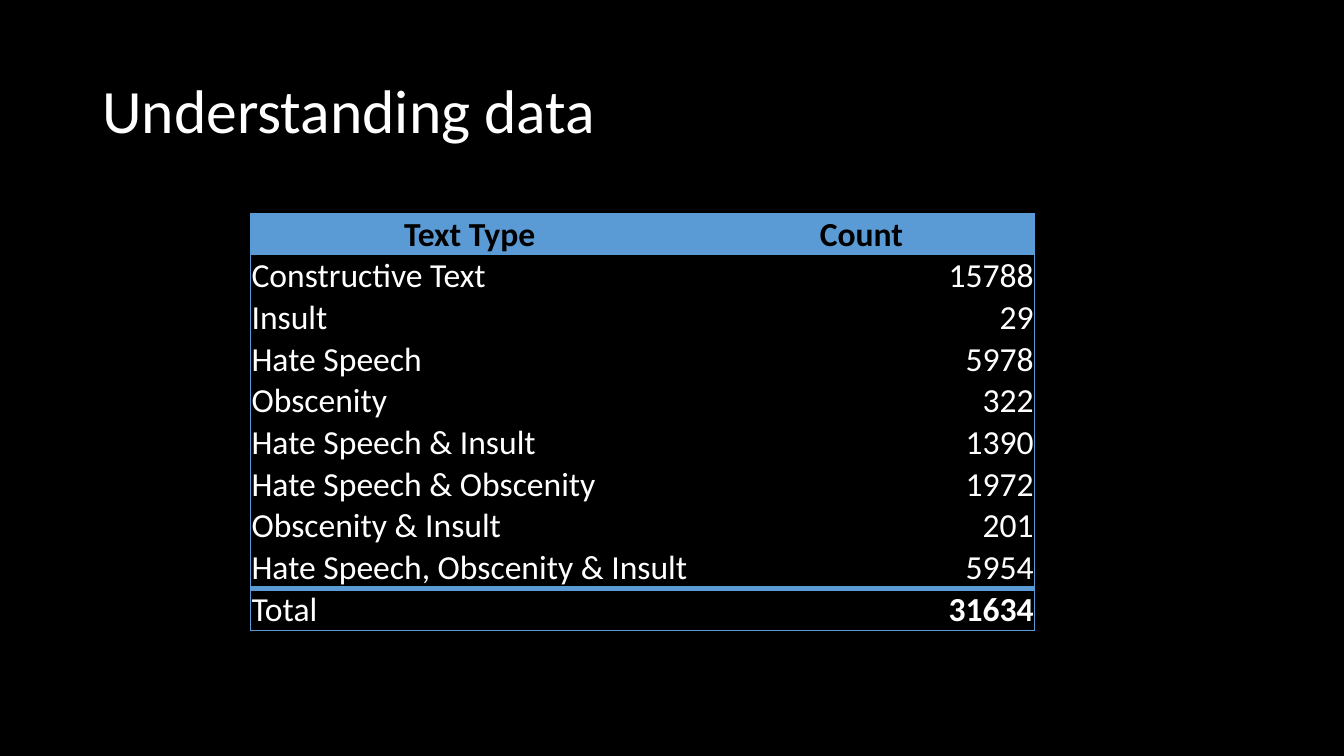
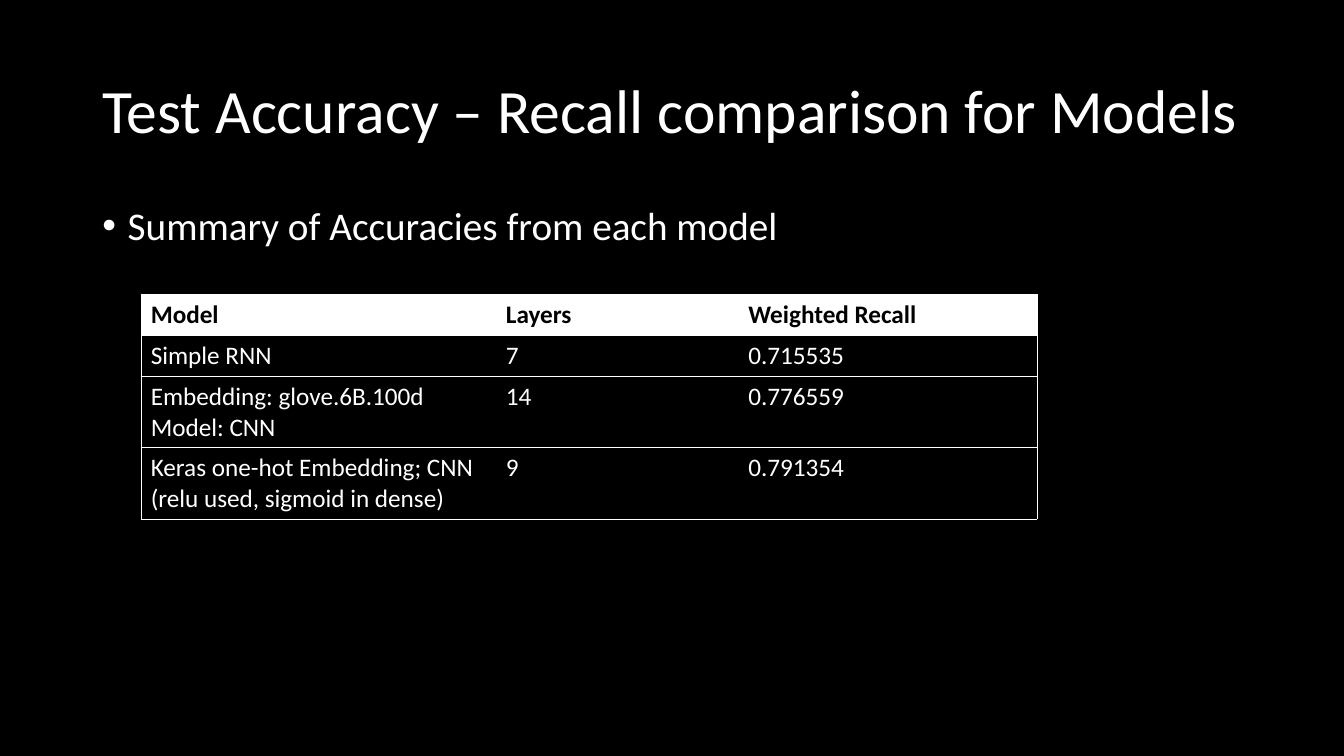
import pptx
import pptx.dml.color
import pptx.enum.text
import pptx.oxml
import pptx.oxml.ns
import pptx.util
from dataclasses import dataclass

Cm = pptx.util.Cm
Pt = pptx.util.Pt
RGBColor = pptx.dml.color.RGBColor
Align = pptx.enum.text.PP_ALIGN
Anchor = pptx.enum.text.MSO_ANCHOR

BLACK = RGBColor(0x00, 0x00, 0x00)
WHITE = RGBColor(0xFF, 0xFF, 0xFF)
BLUE = RGBColor(0x5B, 0x9B, 0xD5)
FONT = "Calibri"
PLAIN_TABLE = "{2D5ABB26-0587-4C30-8999-92F81FD0307C}"
THIN, THICK = 0.5, 4

TITLE_BOX = (2.33, 1.01, 29.21, 3.68)
BODY_BOX = (2.33, 5.07, 29.21, 12.09)

COUNTS = [
    ("Text Type", "Count"),
    ("Constructive Text", "15788"),
    ("Insult", "29"),
    ("Hate Speech", "5978"),
    ("Obscenity", "322"),
    ("Hate Speech & Insult", "1390"),
    ("Hate Speech & Obscenity", "1972"),
    ("Obscenity & Insult", "201"),
    ("Hate Speech, Obscenity & Insult", "5954"),
    ("Total", "31634"),
]
RECALLS = [
    ("Model", "Layers", "Weighted Recall"),
    ("Simple RNN", "7", "0.715535"),
    ("Embedding: glove.6B.100d\nModel: CNN", "14", "0.776559"),
    ("Keras one-hot Embedding; CNN (relu used, sigmoid in dense)", "9", "0.791354"),
]


@dataclass
class TableStyle:
    accent: RGBColor
    size: int
    anchor: Anchor
    header_align: Align
    number_align: Align
    margins: tuple
    rules: dict


COUNT_STYLE = TableStyle(BLUE, 24, Anchor.BOTTOM, Align.CENTER, Align.RIGHT,
                         (0.02, 0.02, 0.02, 0), {9: THICK})
RECALL_STYLE = TableStyle(WHITE, 18, Anchor.TOP, Align.LEFT, Align.LEFT,
                          (0.25, 0.13, 0.25, 0.13), {1: THIN, 2: THIN, 3: THIN})


def set_font(paragraph, size, color, bold=False):
    font = paragraph.font
    font.name, font.size, font.bold = FONT, Pt(size), bold
    font.color.rgb = color


def add_text(slide, box, text, size, anchor):
    frame = slide.shapes.add_textbox(*map(Cm, box)).text_frame
    frame.word_wrap = True
    frame.vertical_anchor = anchor
    paragraph = frame.paragraphs[0]
    paragraph.text = text
    paragraph.line_spacing = 0.9
    set_font(paragraph, size, WHITE)
    return paragraph


def add_bullet(slide, box, text):
    paragraph = add_text(slide, box, text, 28, Anchor.TOP)
    paragraph.space_before = Pt(10)
    properties = paragraph._p.get_or_add_pPr()
    properties.set("marL", str(Cm(0.64)))
    properties.set("indent", str(-Cm(0.64)))
    namespace = pptx.oxml.ns.nsdecls("a")
    properties.append(pptx.oxml.parse_xml(f'<a:buFont {namespace} typeface="Arial"/>'))
    properties.append(pptx.oxml.parse_xml(f'<a:buChar {namespace} char="•"/>'))


def set_borders(cell, color, widths):
    for side in "LRTB":
        if widths[side]:
            cell._tc.get_or_add_tcPr().append(pptx.oxml.parse_xml(
                f'<a:ln{side} {pptx.oxml.ns.nsdecls("a")} w="{Pt(widths[side])}">'
                f'<a:solidFill><a:srgbClr val="{color}"/></a:solidFill></a:ln{side}>'))


def fill_cell(cell, text, style, is_header, is_number, bold):
    cell.fill.solid()
    cell.fill.fore_color.rgb = style.accent if is_header else BLACK
    cell.vertical_anchor = style.anchor
    (cell.margin_left, cell.margin_top,
     cell.margin_right, cell.margin_bottom) = map(Cm, style.margins)
    cell.text = text
    for paragraph in cell.text_frame.paragraphs:
        if is_header:
            paragraph.alignment = style.header_align
        else:
            paragraph.alignment = style.number_align if is_number else Align.LEFT
        set_font(paragraph, style.size, BLACK if is_header else WHITE, bold)


def add_data_table(slide, left, top, widths, heights, rows, style, bold_total=False):
    last_row, last_column = len(rows) - 1, len(widths) - 1
    table = slide.shapes.add_table(
        len(rows), len(widths), Cm(left), Cm(top),
        Cm(sum(widths)), Cm(sum(heights))).table
    table.horz_banding = False
    table._tbl.tblPr.find(pptx.oxml.ns.qn("a:tableStyleId")).text = PLAIN_TABLE
    for column, width in zip(table.columns, widths):
        column.width = Cm(width)
    for row, height in zip(table.rows, heights):
        row.height = Cm(height)
    lines = {0: THIN, len(rows): THIN, **style.rules}
    for r, texts in enumerate(rows):
        for c, text in enumerate(texts):
            cell = table.cell(r, c)
            set_borders(cell, style.accent, {
                "L": THIN if c == 0 else 0,
                "R": THIN if c == last_column else 0,
                "T": lines.get(r, 0),
                "B": lines.get(r + 1, 0),
            })
            is_total = bold_total and r == last_row and c == last_column
            fill_cell(cell, text, style, r == 0, c > 0, r == 0 or is_total)


def add_titled_slide(deck, title):
    slide = deck.slides.add_slide(deck.slide_layouts[6])
    slide.background.fill.solid()
    slide.background.fill.fore_color.rgb = BLACK
    add_text(slide, TITLE_BOX, title, 44, Anchor.MIDDLE)
    return slide


def add_counts_slide(deck):
    slide = add_titled_slide(deck, "Understanding data")
    add_data_table(slide, 6.32, 5.38, (11.03, 8.72), [1.05] * len(COUNTS),
                   COUNTS, COUNT_STYLE, bold_total=True)


def add_recall_slide(deck):
    slide = add_titled_slide(deck, "Test Accuracy – Recall comparison for Models")
    add_bullet(slide, BODY_BOX, "Summary of Accuracies from each model")
    add_data_table(slide, 3.55, 7.42, (8.95, 6.11, 7.52), (1.03, 1.03, 1.8, 1.8),
                   RECALLS, RECALL_STYLE)


deck = pptx.Presentation()
deck.slide_width, deck.slide_height = Cm(33.87), Cm(19.05)
add_counts_slide(deck)
add_recall_slide(deck)
deck.save("out.pptx")
